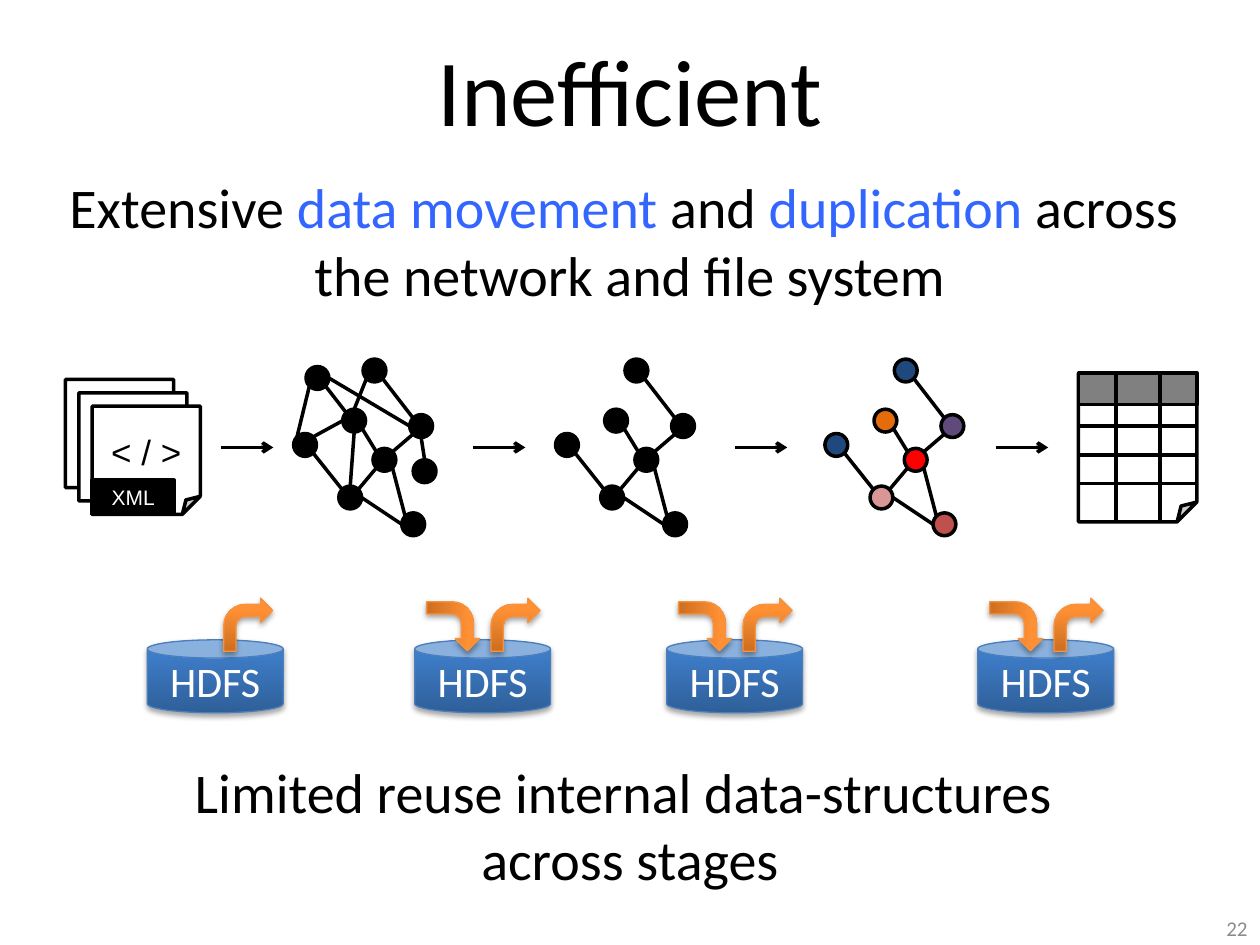
import math
from dataclasses import dataclass

import pptx
import pptx.dml.color
import pptx.enum.shapes
import pptx.enum.text
import pptx.oxml
import pptx.oxml.ns
import pptx.util
from pptx.util import Cm

SHAPE = pptx.enum.shapes.MSO_SHAPE
ALIGN = pptx.enum.text.PP_ALIGN
MIDDLE = pptx.enum.text.MSO_ANCHOR.MIDDLE


@dataclass(frozen=True)
class Theme:
    body_font: str = "Calibri"
    icon_font: str = "Arial"
    ink: str = "000000"
    paper: str = "FFFFFF"
    accent: str = "3366FF"
    muted: str = "8C8C8C"
    header: str = "808080"
    store: tuple = ("2F5F99", "3D7CC7", "4B7EBC")  # dark, light, outline
    flow: tuple = ("CC6E20", "FF9034", "F69240")
    title_size: int = 54
    body_size: int = 32
    store_size: int = 24
    code_size: int = 20
    small_size: int = 12
    stroke: float = 2
    thin_stroke: float = 0.75


THEME = Theme()

# Node centres within a graph, in cm
NODE_SIZE = 0.46
NODES = {
    "left": (0.23, 1.73), "upper": (1.22, 1.24), "hub": (1.83, 2.03),
    "right": (2.57, 1.35), "low": (1.14, 2.79), "bottom": (2.41, 3.33),
    "top": (1.63, 0.23), "side": (2.64, 2.26), "corner": (0.48, 0.38),
}
# Angle on the node rim, in degrees clockwise from the right
RIM = {"r": 0, "br": 45, "b": 90, "bl": 135, "l": 180, "tl": 225, "t": 270, "tr": 315}
CORE_EDGES = [
    ("upper", "br", "hub", "tl"), ("right", "bl", "hub", "tr"),
    ("bottom", "tl", "hub", "br"), ("left", "br", "low", "tl"),
    ("hub", "bl", "low", "tr"), ("top", "br", "right", "tl"),
    ("low", "r", "bottom", "l"),
]
EXTRA_EDGES = [
    ("upper", "b", "low", "t"), ("upper", "l", "left", "tr"),
    ("top", "bl", "upper", "t"), ("corner", "r", "right", "l"),
    ("right", "b", "side", "t"), ("corner", "bl", "left", "tl"),
    ("corner", "br", "upper", "tl"),
]
CORE_NODES = ("left", "upper", "hub", "right", "low", "bottom", "top")
RANK_COLORS = dict(zip(CORE_NODES, (
    "1F497D", "E46C0A", "FF0000", "604A7B", "D99694", "C0504D", "1F497D")))


def rgb(color):
    return pptx.dml.color.RGBColor.from_string(color)


class SlideBuilder:
    def __init__(self, slide, theme):
        self.slide = slide
        self.theme = theme

    def style(self, paragraph, size, color, font, align=ALIGN.CENTER):
        paragraph.alignment = align
        paragraph.font.size = pptx.util.Pt(size)
        paragraph.font.name = font
        if color:
            paragraph.font.color.rgb = rgb(color)

    def title(self, text, x, y, w, h):
        heading = self.slide.shapes.title
        heading.left, heading.top, heading.width, heading.height = map(Cm, (x, y, w, h))
        heading.text_frame.text = text
        heading.text_frame.vertical_anchor = MIDDLE
        self.style(heading.text_frame.paragraphs[0], self.theme.title_size,
                   self.theme.ink, self.theme.body_font)

    def text(self, lines, x, y, w, h, size, align=ALIGN.CENTER):
        """Each line is a list of (words, color) pairs."""
        frame = self.slide.shapes.add_textbox(Cm(x), Cm(y), Cm(w), Cm(h)).text_frame
        frame.word_wrap = True
        frame.vertical_anchor = MIDDLE
        paragraph = frame.paragraphs[0]
        self.style(paragraph, size, None, self.theme.body_font, align)
        for index, line in enumerate(lines):
            if index:
                paragraph.add_line_break()
            for words, color in line:
                run = paragraph.add_run()
                run.text = words
                run.font.color.rgb = rgb(color)

    def shape(self, kind, x, y, w, h, fill, outline=None, stroke=None):
        item = self.slide.shapes.add_shape(kind, Cm(x), Cm(y), Cm(w), Cm(h))
        item.shadow.inherit = False
        if fill:
            item.fill.solid()
            item.fill.fore_color.rgb = rgb(fill)
        item.line.color.rgb = rgb(outline or self.theme.ink)
        item.line.width = pptx.util.Pt(stroke or self.theme.stroke)
        return item

    def label(self, item, text, size, color, font):
        item.text_frame.text = text
        item.text_frame.vertical_anchor = MIDDLE
        self.style(item.text_frame.paragraphs[0], size, color, font)

    def glossy(self, kind, x, y, w, h, colors, rotation=0):
        """Shape shaded from dark at its base to light, with a soft shadow."""
        dark, light, outline = colors
        item = self.shape(kind, x, y, w, h, None, outline, self.theme.thin_stroke)
        item.rotation = rotation
        item.fill.gradient()
        item.fill.gradient_angle = 90
        for stop, color, position in zip(item.fill.gradient_stops, (dark, light), (0, 0.8)):
            stop.color.rgb = rgb(color)
            stop.position = position
        effects = item._element.spPr.find(pptx.oxml.ns.qn("a:effectLst"))
        effects.append(pptx.oxml.parse_xml(
            f'<a:outerShdw {pptx.oxml.ns.nsdecls("a")} blurRad="40000" dist="23000" '
            'dir="5400000" rotWithShape="0"><a:srgbClr val="000000">'
            '<a:alpha val="35000"/></a:srgbClr></a:outerShdw>'))
        return item

    def line(self, x1, y1, x2, y2, arrow=False):
        link = self.slide.shapes.add_connector(
            pptx.enum.shapes.MSO_CONNECTOR.STRAIGHT, Cm(x1), Cm(y1), Cm(x2), Cm(y2))
        link.line.color.rgb = rgb(self.theme.ink)
        link.line.width = pptx.util.Pt(self.theme.stroke)
        namespace = pptx.oxml.ns.nsdecls("a")
        if arrow:
            link.line._get_or_add_ln().append(
                pptx.oxml.parse_xml(f'<a:tailEnd {namespace} type="arrow"/>'))
        link._element.spPr.append(pptx.oxml.parse_xml(f"<a:effectLst {namespace}/>"))

    def graph(self, x, y, nodes, edges, colors):
        def rim_point(node, side):
            angle = math.radians(RIM[side])
            cx, cy = NODES[node]
            return (x + cx + NODE_SIZE / 2 * math.cos(angle),
                    y + cy + NODE_SIZE / 2 * math.sin(angle))

        for start, start_side, end, end_side in edges:
            self.line(*rim_point(start, start_side), *rim_point(end, end_side))
        for node in nodes:
            cx, cy = NODES[node]
            self.shape(SHAPE.OVAL, x + cx - NODE_SIZE / 2, y + cy - NODE_SIZE / 2,
                       NODE_SIZE, NODE_SIZE, colors.get(node, self.theme.ink))

    def xml_pages(self, x, y, side, step):
        theme = self.theme
        for index in range(3):
            page = self.shape(SHAPE.FOLDED_CORNER, x + index * step, y + index * step,
                              side, side, theme.paper)
        self.label(page, "< / >", theme.code_size, theme.ink, theme.icon_font)
        tag = self.shape(SHAPE.RECTANGLE, x + 2 * step, y + 2 * step + side - 0.69,
                         1.65, 0.69, theme.ink)
        self.label(tag, "XML", theme.small_size, theme.paper, theme.icon_font)

    def table_page(self, x, y, w, h):
        self.shape(SHAPE.FOLDED_CORNER, x, y, w, h, self.theme.paper)
        for row in range(3):
            row_y = y + 1.07 + row * 0.58
            self.line(x, row_y, x + w, row_y)
        self.shape(SHAPE.RECTANGLE, x, y, w, 0.64, self.theme.header)
        for column in (0.76, 1.65):
            self.line(x + column, y + h, x + column, y)

    def store(self, x, y, reads):
        theme = self.theme
        can = self.glossy(SHAPE.CAN, x, y, 2.74, 1.47, theme.store)
        self.label(can, "HDFS", theme.store_size, theme.paper, theme.body_font)
        if reads:
            self.glossy(SHAPE.BENT_ARROW, x + 0.28, y - 0.81, 0.99, 1.07, theme.flow, 90)
        self.glossy(SHAPE.BENT_ARROW, x + 1.54, y - 0.84, 0.99, 1.07, theme.flow)


def main():
    deck = pptx.Presentation()
    deck.slide_width, deck.slide_height = Cm(25.4), Cm(19.05)
    builder = SlideBuilder(deck.slides.add_slide(deck.slide_layouts[5]), THEME)
    ink, accent = THEME.ink, THEME.accent

    # Headline and claims
    builder.title("Inefficient", 1.27, 0.2, 22.86, 3.18)
    builder.text([[("Extensive ", ink), ("data movement ", accent), ("and ", ink),
                   ("duplication", accent), (" across ", ink)],
                  [("the network and file system", ink)]],
                 0, 3.25, 25.4, 3.18, THEME.body_size)
    builder.text([[("Limited reuse internal data-structures ", ink)],
                  [("across stages", ink)]],
                 0, 15.04, 25.4, 3.18, THEME.body_size)
    builder.text([[("22", THEME.muted)]], 19.48, 18.21, 5.92, 1.02,
                 THEME.small_size, ALIGN.RIGHT)

    # Pipeline: raw pages, full graph, subgraph, ranked graph, table
    builder.xml_pages(1.32, 7.65, 2.18, 0.27)
    builder.graph(5.92, 7.24, NODES, CORE_EDGES + EXTRA_EDGES, {})
    builder.graph(11.2, 7.24, CORE_NODES, CORE_EDGES, {})
    builder.graph(16.63, 7.24, CORE_NODES, CORE_EDGES, RANK_COLORS)
    builder.table_page(21.74, 7.52, 2.39, 3)
    for arrow_x in (4.45, 9.53, 14.81, 20.07):
        builder.line(arrow_x, 9.02, arrow_x + 1.06, 9.02, arrow=True)

    # Storage between stages; the first one is only read from
    for index, store_x in enumerate((2.97, 8.36, 13.44, 19.71)):
        builder.store(store_x, 12.9, reads=index > 0)

    deck.save("out.pptx")


if __name__ == "__main__":
    main()
